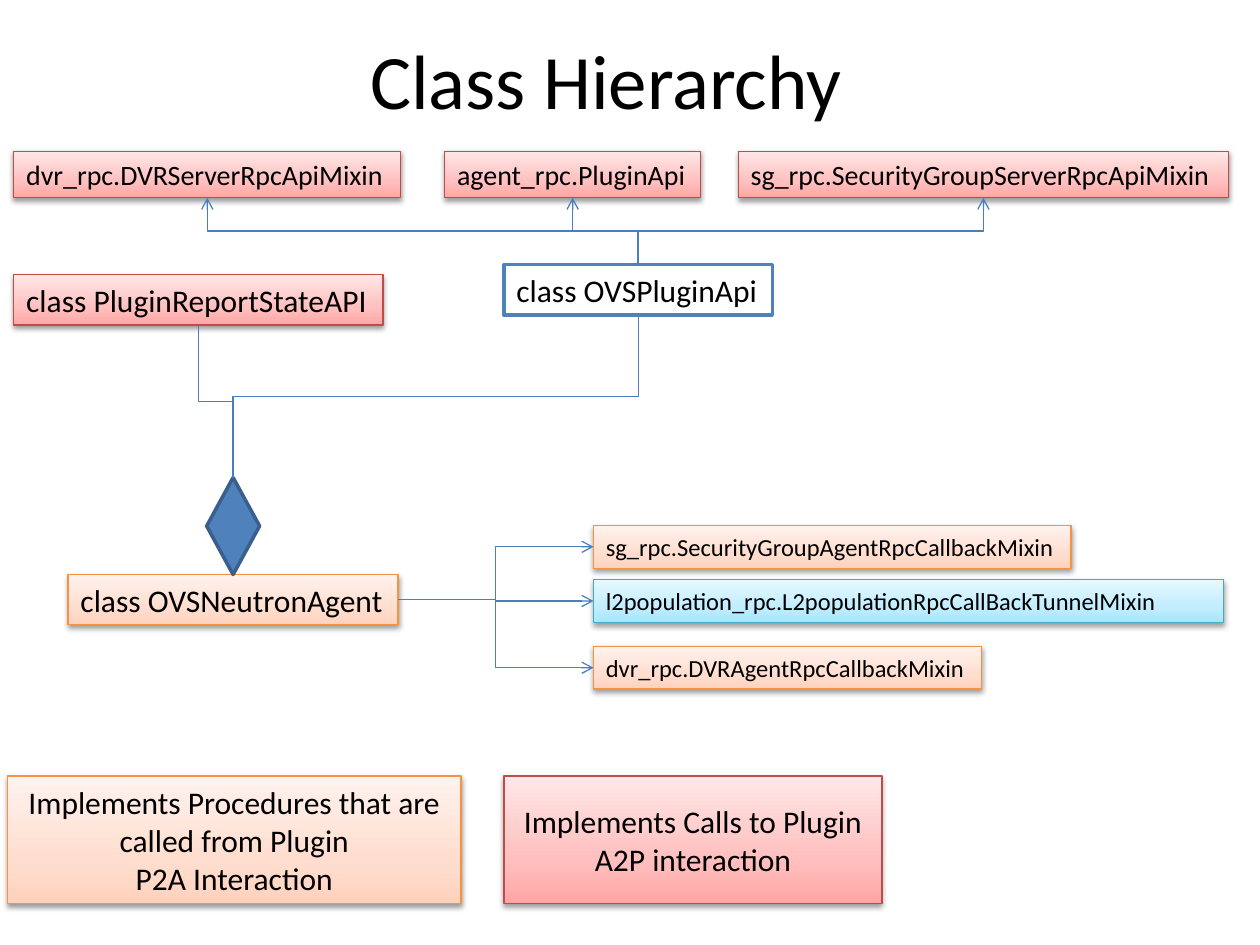
import copy

from pptx import Presentation
from pptx.dml.color import RGBColor
from pptx.enum import shapes, text
from pptx.oxml import parse_xml
from pptx.oxml.ns import nsdecls, qn
from pptx.util import Inches, Pt

FONT = "Calibri"
COLORS = {"text": "000000", "white": "FFFFFF", "blue": "4F81BD",
          "dark blue": "3A5F8C", "connector": "4B7EBC"}
# Box styles: gradient stops from bottom to top, then outline
GRADIENTS = {
    "orange": (("FFD2BD", "FFDED0", "FFF2ED"), "F69240"),
    "red": (("FFA6A5", "FFC0BF", "FFE7E7"), "BF4C48"),
    "cyan": (("A7E6FF", "C1EDFF", "E7F8FF"), "46AAC5"),
}
STOPS = (0, 0.35, 1)

TITLE = "Class Hierarchy"
# name: (lines, style, size, left, top, width, height)
CLASSES = {
    "sg callback": ("sg_rpc.SecurityGroupAgentRpcCallbackMixin", "orange", 14, 4.71, 4.17, 3.79, 0.34),
    "l2 callback": ("l2population_rpc.L2populationRpcCallBackTunnelMixin", "cyan", 14, 4.71, 4.6, 5, 0.34),
    "dvr callback": ("dvr_rpc.DVRAgentRpcCallbackMixin", "orange", 14, 4.71, 5.13, 3.08, 0.34),
    "agent": ("class OVSNeutronAgent", "orange", 18, 0.54, 4.56, 2.62, 0.4),
    "plugin api": ("class OVSPluginApi", "plain", 18, 4, 2.1, 2.13, 0.4),
    "dvr server": ("dvr_rpc.DVRServerRpcApiMixin", "red", 16, 0.11, 1.2, 3.07, 0.37),
    "agent rpc": ("agent_rpc.PluginApi", "red", 16, 3.53, 1.2, 2.03, 0.37),
    "sg server": ("sg_rpc.SecurityGroupServerRpcApiMixin", "red", 16, 5.86, 1.2, 3.89, 0.37),
    "report state": ("class PluginReportStateAPI", "red", 18, 0.11, 2.18, 2.93, 0.4),
}
LEGEND = [
    ("Implements Procedures that are called from Plugin\nP2A Interaction", "orange", 18, 0.06, 6.16, 3.6, 1.01),
    ("Implements Calls to Plugin\nA2P interaction", "red", 18, 4, 6.16, 3, 1.01),
]
DIAMOND_LENGTH, DIAMOND_WIDTH = 0.77, 0.42
WRAPPED = ("l2 callback",)
CALLBACKS = ("sg callback", "l2 callback", "dvr callback")
SERVER_APIS = ("dvr server", "agent rpc", "sg server")
OWNED_APIS = ("plugin api", "report state")


def rgb(name):
    return RGBColor.from_string(COLORS.get(name, name))


def set_line(shape, color, width):
    shape.line.color.rgb = rgb(color)
    shape.line.width = Pt(width)


def style_text(frame, size, align):
    for para in frame.paragraphs:
        para.alignment = align
        for span in para.runs:
            span.font.name = FONT
            span.font.size = Pt(size)
            span.font.color.rgb = rgb("text")


def fill_gradient(shape, colors):
    shape.fill.gradient()
    shape.fill.gradient_angle = 90
    stop_list = shape._element.spPr.find(".//" + qn("a:gsLst"))
    stop_list.insert(1, copy.deepcopy(stop_list[0]))
    for stop, color, position in zip(shape.fill.gradient_stops, colors, STOPS):
        stop.color.rgb = rgb(color)
        stop.position = position


def add_shadow(shape):
    shape._element.spPr.find(qn("a:effectLst")).append(parse_xml(
        f'<a:outerShdw {nsdecls("a")} blurRad="{Pt(3.1)}" dist="{Pt(1.6)}" '
        'dir="5400000" rotWithShape="0"><a:srgbClr val="000000">'
        '<a:alpha val="38000"/></a:srgbClr></a:outerShdw>'))


def add_box(slide, words, style, size, *place):
    box = slide.shapes.add_shape(shapes.MSO_SHAPE.RECTANGLE, *map(Inches, place))
    box.shadow.inherit = False
    if style == "plain":
        box.fill.solid()
        box.fill.fore_color.rgb = rgb("white")
        set_line(box, "blue", 2)
    else:
        colors, outline = GRADIENTS[style]
        fill_gradient(box, colors)
        set_line(box, outline, 0.75)
        add_shadow(box)
    box.text_frame.text = words
    return box


def add_class(slide, name):
    box = add_box(slide, *CLASSES[name])
    frame = box.text_frame
    frame.word_wrap = name in WRAPPED
    frame.auto_size = text.MSO_AUTO_SIZE.SHAPE_TO_FIT_TEXT
    frame.vertical_anchor = text.MSO_ANCHOR.TOP
    style_text(frame, CLASSES[name][2], text.PP_ALIGN.LEFT)


def anchor(name, side):
    left, top, width, height = CLASSES[name][3:]
    return {"top": (left + width / 2, top),
            "bottom": (left + width / 2, top + height),
            "left": (left, top + height / 2),
            "right": (left + width, top + height / 2)}[side]


def add_elbow(slide, start, end, vertical=False, arrow=True):
    """Elbow line; a vertical one is laid out sideways and turned upright."""
    rotation = 0
    if vertical:
        mid_x, mid_y = ((a + b) / 2 for a, b in zip(start, end))
        same_sign = (end[0] - start[0]) * (end[1] - start[1]) > 0
        rotation, turn = (270, -1) if same_sign else (90, 1)
        start, end = ((mid_x + turn * (y - mid_y), mid_y - turn * (x - mid_x))
                      for x, y in (start, end))
    elbow = slide.shapes.add_connector(
        shapes.MSO_CONNECTOR.ELBOW, *map(Inches, (*start, *end)))
    set_line(elbow, "connector", 0.75)
    properties = elbow._element.spPr
    if rotation:
        properties.find(qn("a:xfrm")).set("rot", str(rotation * 60000))
    if arrow:
        properties.find(qn("a:ln")).append(
            parse_xml(f'<a:tailEnd {nsdecls("a")} type="arrow"/>'))
    properties.append(parse_xml(f'<a:effectLst {nsdecls("a")}/>'))


def main():
    deck = Presentation()
    deck.slide_width, deck.slide_height = Inches(10), Inches(7.5)
    slide = deck.slides.add_slide(deck.slide_layouts[5])

    # Title
    title = slide.shapes.title
    title.left, title.top, title.width, title.height = map(Inches, (0.31, 0, 9, 1.25))
    title.text_frame.text = TITLE
    title.text_frame.vertical_anchor = text.MSO_ANCHOR.MIDDLE
    style_text(title.text_frame, 44, text.PP_ALIGN.CENTER)

    # Classes
    for name in CLASSES:
        add_class(slide, name)

    # Legend
    for entry in LEGEND:
        box = add_box(slide, *entry)
        box.text_frame.word_wrap = True
        box.text_frame.vertical_anchor = text.MSO_ANCHOR.MIDDLE
        style_text(box.text_frame, entry[2], text.PP_ALIGN.CENTER)

    # Diamond standing on the agent class
    agent_x, agent_top = anchor("agent", "top")
    diamond = slide.shapes.add_shape(
        shapes.MSO_SHAPE.FLOWCHART_DECISION,
        Inches(agent_x - DIAMOND_LENGTH / 2),
        Inches(agent_top - DIAMOND_LENGTH / 2 - DIAMOND_WIDTH / 2),
        Inches(DIAMOND_LENGTH), Inches(DIAMOND_WIDTH))
    diamond.rotation = 270
    diamond.shadow.inherit = False
    diamond.fill.solid()
    diamond.fill.fore_color.rgb = rgb("blue")
    set_line(diamond, "dark blue", 2)

    # Connectors
    for name in CALLBACKS:
        add_elbow(slide, anchor("agent", "right"), anchor(name, "left"))
    for name in SERVER_APIS:
        add_elbow(slide, anchor("plugin api", "top"), anchor(name, "bottom"), vertical=True)
    for name in OWNED_APIS:
        add_elbow(slide, anchor(name, "bottom"), (agent_x, agent_top - DIAMOND_LENGTH),
                  vertical=True, arrow=False)

    deck.save("out.pptx")


if __name__ == "__main__":
    main()
